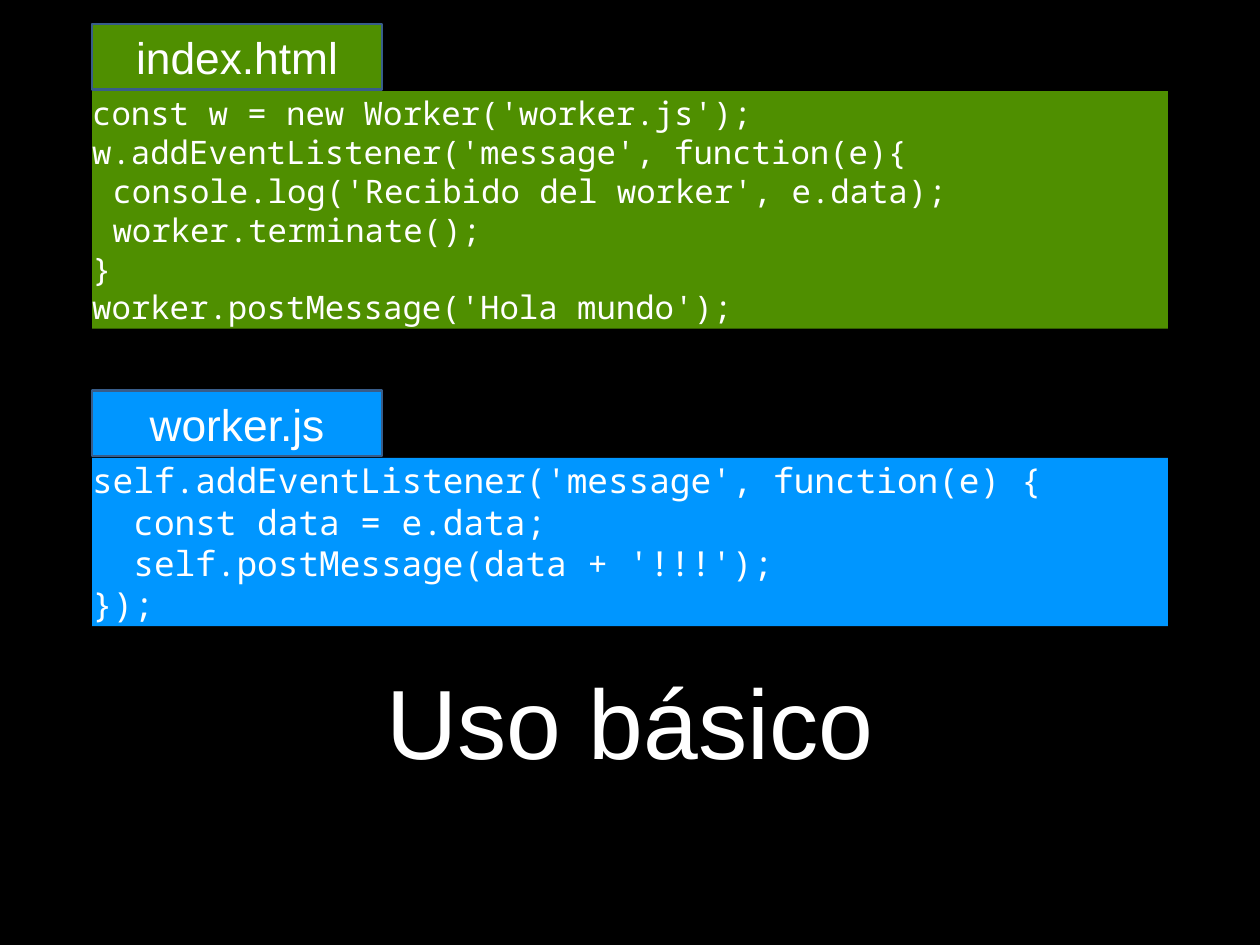
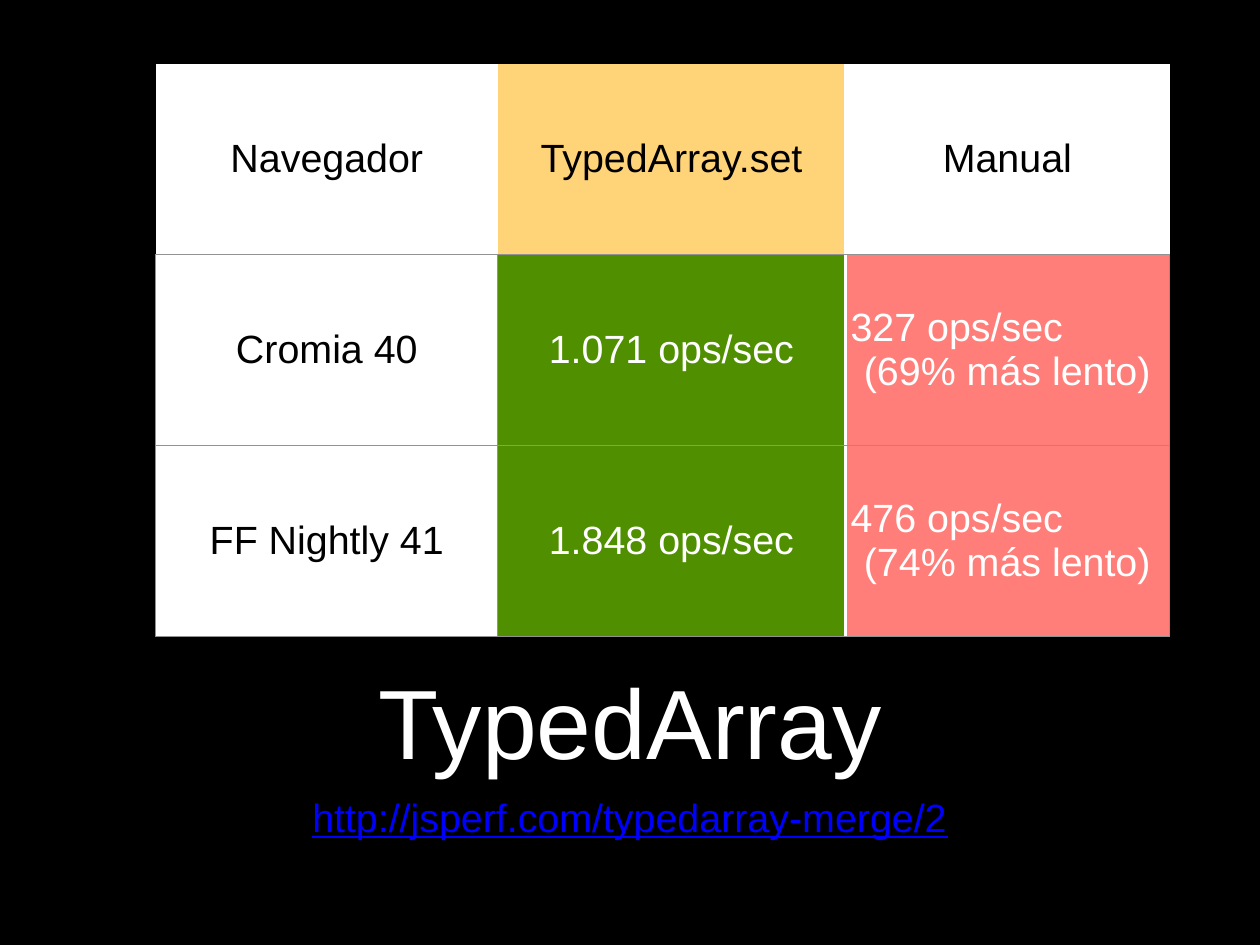
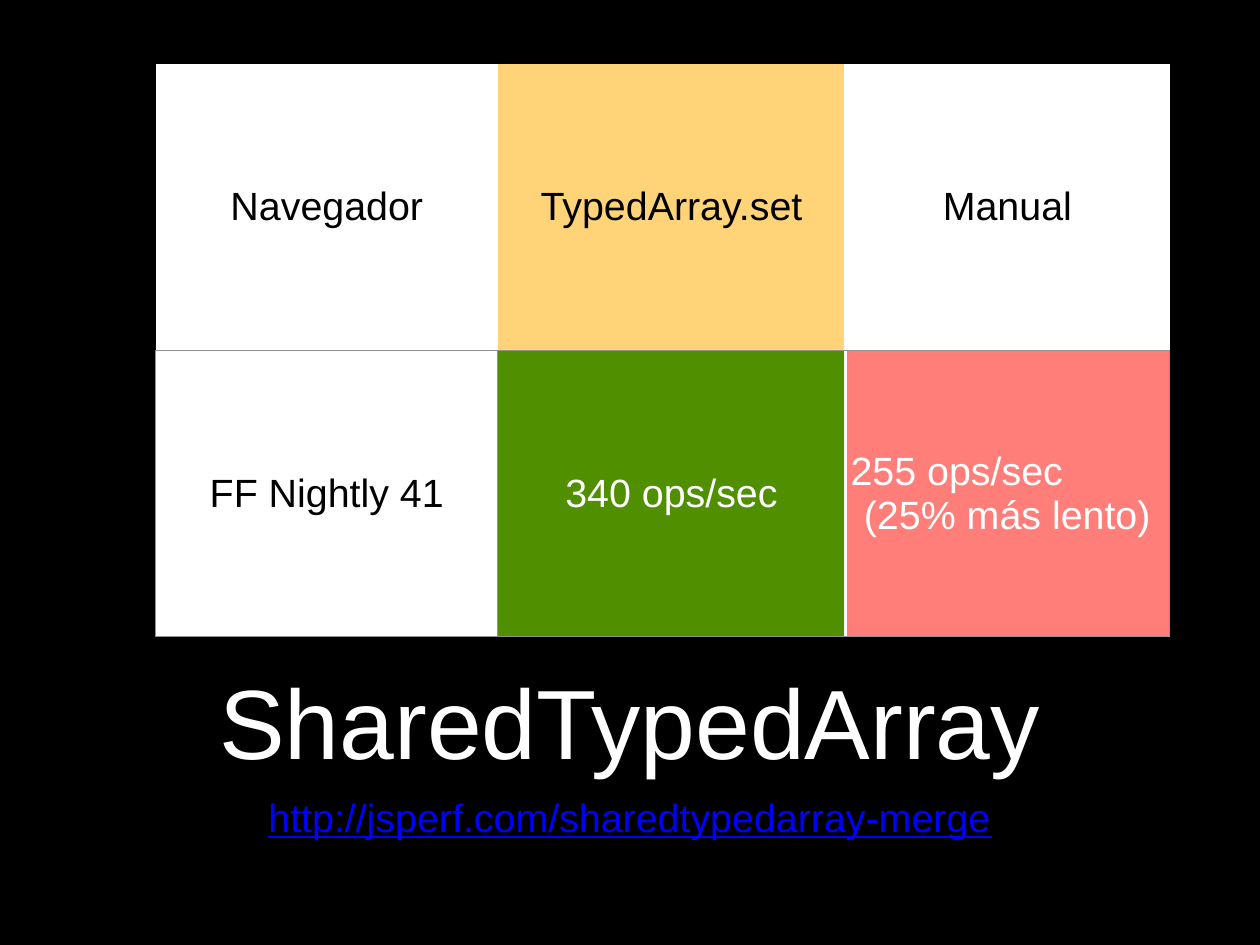
import lxml.etree
import pptx
import pptx.dml.color
import pptx.enum.text
import pptx.oxml.ns
import pptx.util

Inches, Pt = pptx.util.Inches, pptx.util.Pt
ALIGN = pptx.enum.text.PP_ALIGN
ANCHOR = pptx.enum.text.MSO_ANCHOR
qn = pptx.oxml.ns.qn

COLORS = {
    "black": "000000", "white": "FFFFFF", "green": "4F8F00", "blue": "0096FF",
    "tab_line": "385D8A", "gold": "FFD479", "red": "FF7E79", "grid": "929292",
    "link": "0000FF",
}
SANS, MONO = "Arial", "Noto Sans Mono"
NO_TABLE_STYLE = "{2D5ABB26-0587-4C30-8999-92F81FD0307C}"

TITLE_BOX = (1.39, 7.35, 11.44, 1.56)
LINK_BOX = (1.39, 8.96, 11.44, 1.24)
TABLE_BOX = (1.76, 0.72, 11.44, 6.47)
COLUMN_WIDTHS = (3.86, 3.92, 3.66)
HEADER = ("Navegador", "TypedArray.set", "Manual")
HEADER_FILLS = ("white", "gold", "white")
BODY_FILLS = ("white", "green", "red")
TAB_W, TAB_H, TAB_GAP = 3.27, 0.74, 0.02
FIRST_INDENT = 0.23

INDEX_CODE = (
    "const w = new Worker('worker.js');",
    "w.addEventListener('message', function(e){",
    "console.log('Recibido del worker', e.data);",
    "worker.terminate();",
    "}",
    "worker.postMessage('Hola mundo');",
)
WORKER_CODE = (
    "self.addEventListener('message', function(e) {",
    "  const data = e.data;",
    "  self.postMessage(data + '!!!');",
    "});",
)


def rgb(name):
    return pptx.dml.color.RGBColor.from_string(COLORS[name])


def inches(box):
    return [Inches(v) for v in box]


def format_paragraph(p, size, color, font=SANS, align=ALIGN.CENTER):
    p.alignment = align
    p.space_before = Pt(0)
    for r in p.runs:
        r.font.size, r.font.name = Pt(size), font
        r.font.color.rgb = rgb(color)


def prepare_frame(tf, anchor=ANCHOR.MIDDLE):
    """Remove insets and fix wrapping, fitting and anchoring."""
    tf.margin_left = tf.margin_right = tf.margin_top = tf.margin_bottom = 0
    tf.word_wrap = True
    tf.auto_size = pptx.enum.text.MSO_AUTO_SIZE.NONE
    tf.vertical_anchor = anchor


def fill_placeholder(sp, box, text, size, color, anchor=ANCHOR.MIDDLE):
    sp.left, sp.top, sp.width, sp.height = inches(box)
    tf = sp.text_frame
    tf.text = text
    prepare_frame(tf, anchor)
    format_paragraph(tf.paragraphs[0], size, color)
    return tf.paragraphs[0]


def add_titled_slide(prs, layout, title):
    s = prs.slides.add_slide(prs.slide_layouts.get_by_name(layout))
    fill_placeholder(s.shapes.title, TITLE_BOX, title, 80, "white")
    return s


def add_link_text(s, text):
    p = fill_placeholder(s.placeholders[1], LINK_BOX, text, 32, "link", ANCHOR.TOP)
    p.runs[0].font.underline = True
    pPr = p._p.get_or_add_pPr()
    pPr.set("marL", "0")
    pPr.set("indent", "0")
    lxml.etree.SubElement(pPr, qn("a:buNone"))


def add_panel(s, box, fill, text):
    sp = s.shapes.add_shape(pptx.enum.shapes.MSO_SHAPE.RECTANGLE, *inches(box))
    sp.shadow.inherit = False
    sp.fill.solid()
    sp.fill.fore_color.rgb = rgb(fill)
    sp.line.fill.background()
    sp.text_frame.text = text
    prepare_frame(sp.text_frame)
    return sp


def add_code_file(s, box, name, lines, fill, size, indented=()):
    """Place a file-name tab with its code panel below, inside box."""
    left, top, width, height = box
    offset = TAB_H + TAB_GAP
    code = add_panel(s, (left, top + offset, width, height - offset), fill, "\n".join(lines))
    for i, p in enumerate(code.text_frame.paragraphs):
        format_paragraph(p, size, "white", MONO, ALIGN.LEFT)
        if i in indented:
            p._p.get_or_add_pPr().set("indent", str(Inches(FIRST_INDENT)))
    tab = add_panel(s, (left, top, TAB_W, TAB_H), fill, name)
    tab.line.color.rgb = rgb("tab_line")
    tab.line.width = Pt(2)
    format_paragraph(tab.text_frame.paragraphs[0], 36, "white")


def set_borders(cell, borders):
    """Draw borders, given as side: (colour, points) in the order L, R, T, B."""
    tcPr = cell._tc.get_or_add_tcPr()
    for side, (color, width) in borders.items():
        ln = lxml.etree.SubElement(tcPr, qn("a:ln" + side), w=str(Pt(width)))
        fill = lxml.etree.SubElement(ln, qn("a:solidFill"))
        lxml.etree.SubElement(fill, qn("a:srgbClr"), val=COLORS[color])


def cell_borders(row, col):
    grid, divider = ("grid", 1), ("white", 3)
    if row == 0:
        return ({}, {"R": divider}, {"L": divider})[col]
    left = divider if col == 2 else grid
    right = divider if col == 1 else grid
    return {"L": left, "R": right, "T": grid, "B": grid}


def add_benchmark_table(s, box, results):
    rows = [HEADER, *results]
    table = s.shapes.add_table(len(rows), len(HEADER), *inches(box)).table
    table._tbl.tblPr.find(qn("a:tableStyleId")).text = NO_TABLE_STYLE
    for column, width in zip(table.columns, COLUMN_WIDTHS):
        column.width = Inches(width)
    for i, values in enumerate(rows):
        table.rows[i].height = Inches(box[3] / len(rows))
        for j, value in enumerate(values):
            cell = table.cell(i, j)
            set_borders(cell, cell_borders(i, j))
            cell.fill.solid()
            cell.fill.fore_color.rgb = rgb((BODY_FILLS if i else HEADER_FILLS)[j])
            cell.vertical_anchor = ANCHOR.MIDDLE
            cell.margin_left = cell.margin_right = Inches(0.06)
            cell.margin_top = cell.margin_bottom = Inches(0.06)
            cell.text_frame.text = value
            paragraphs = cell.text_frame.paragraphs
            for p in paragraphs:
                format_paragraph(p, 32, "white" if i and j else "black")
            if len(paragraphs) > 1:
                paragraphs[0].alignment = ALIGN.LEFT


def build_code_slide(prs):
    s = add_titled_slide(prs, "Title Only", "Uso básico")
    add_code_file(s, (1.04, 0.27, 12.14, 3.44), "index.html", INDEX_CODE, "green", 26.3, (2, 3))
    add_code_file(s, (1.04, 4.41, 12.14, 2.66), "worker.js", WORKER_CODE, "blue", 28)


def build_benchmark_slide(prs, title, link, results):
    s = add_titled_slide(prs, "Title and Content", title)
    add_link_text(s, link)
    add_benchmark_table(s, TABLE_BOX, results)


def main():
    prs = pptx.Presentation()
    prs.slide_width, prs.slide_height = Inches(14.22), Inches(10.67)
    background = prs.slide_master.background.fill
    background.solid()
    background.fore_color.rgb = rgb("black")
    build_code_slide(prs)
    build_benchmark_slide(prs, "TypedArray", "http://jsperf.com/typedarray-merge/2", [
        ("Cromia 40", "1.071 ops/sec", "327 ops/sec\n(69% más lento)"),
        ("FF Nightly 41", "1.848 ops/sec", "476 ops/sec\n(74% más lento)"),
    ])
    build_benchmark_slide(prs, "SharedTypedArray", "http://jsperf.com/sharedtypedarray-merge", [
        ("FF Nightly 41", "340 ops/sec", "255 ops/sec\n(25% más lento)"),
    ])
    prs.save("out.pptx")


if __name__ == "__main__":
    main()
